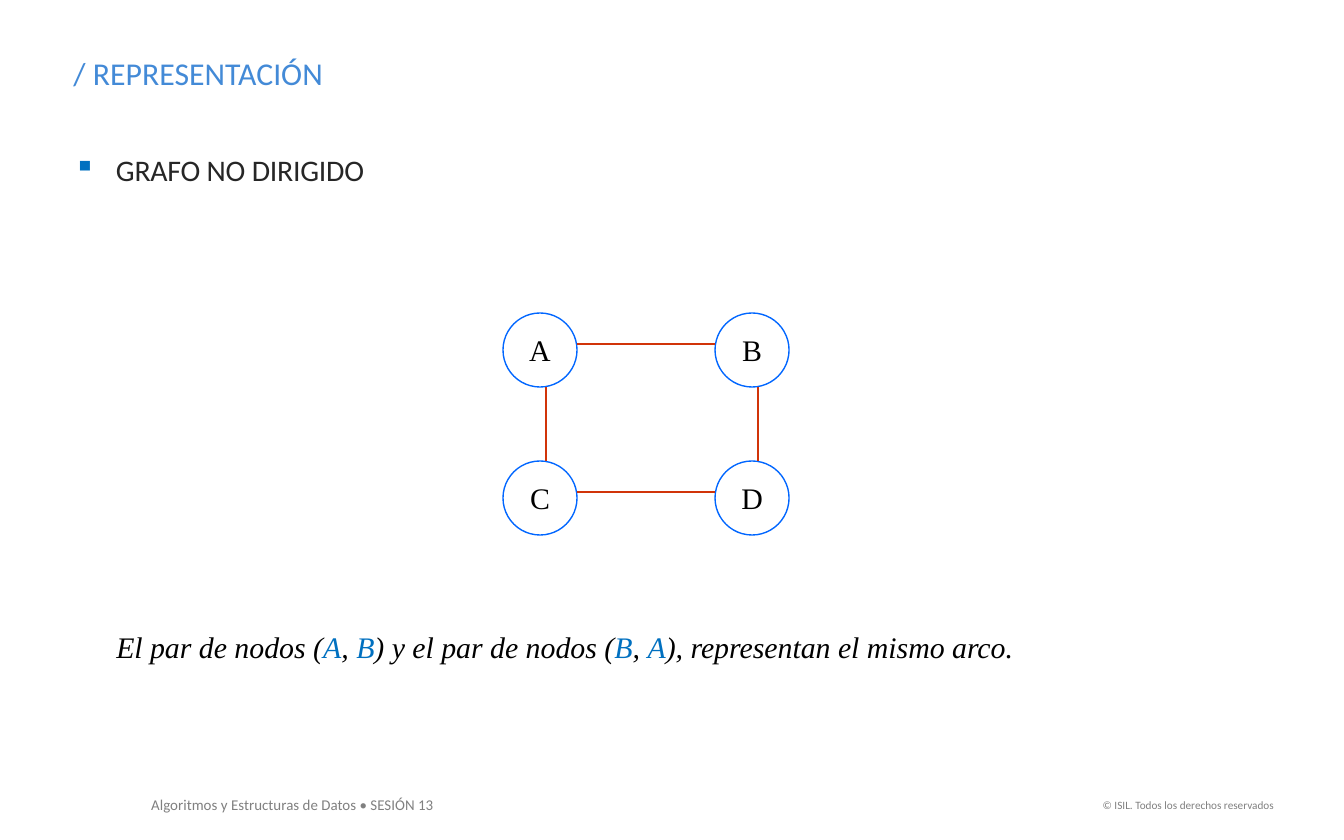
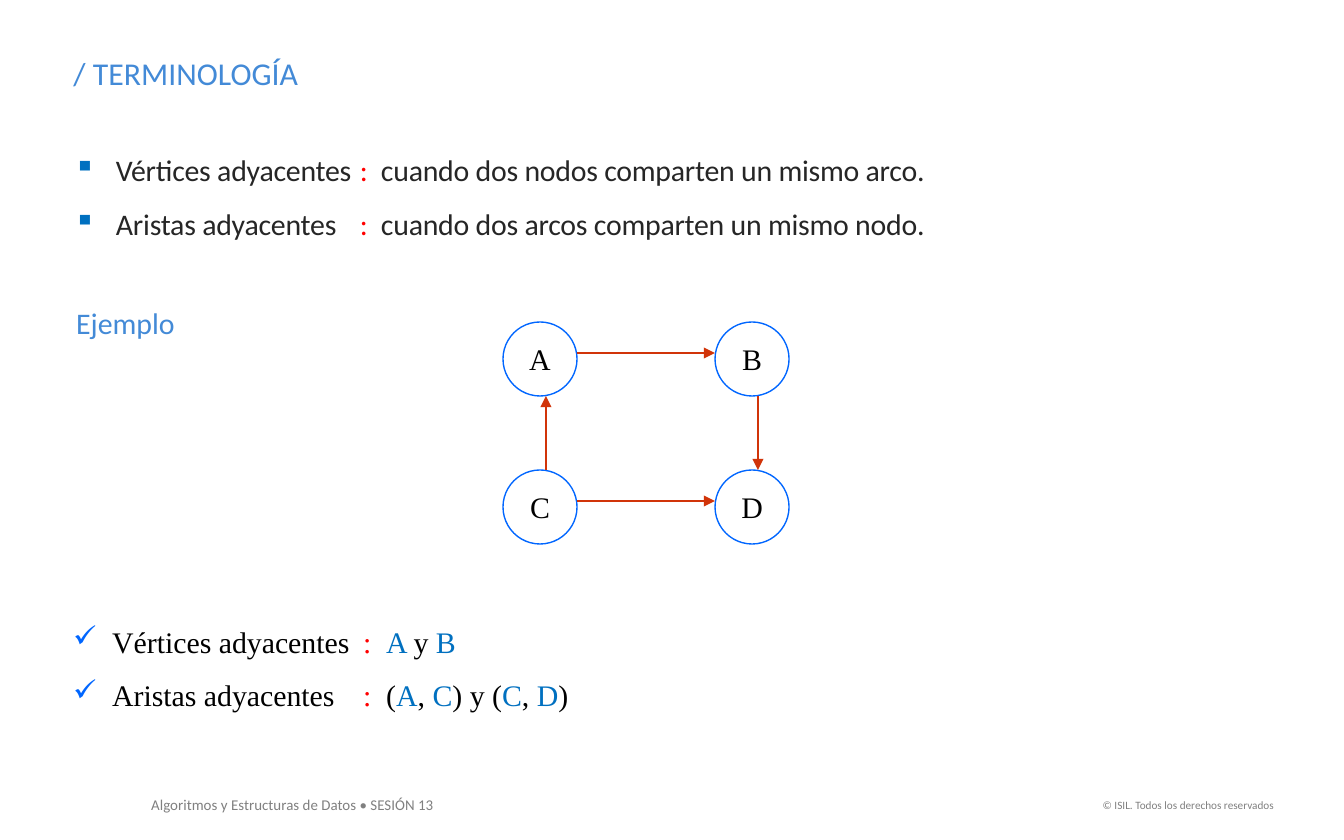
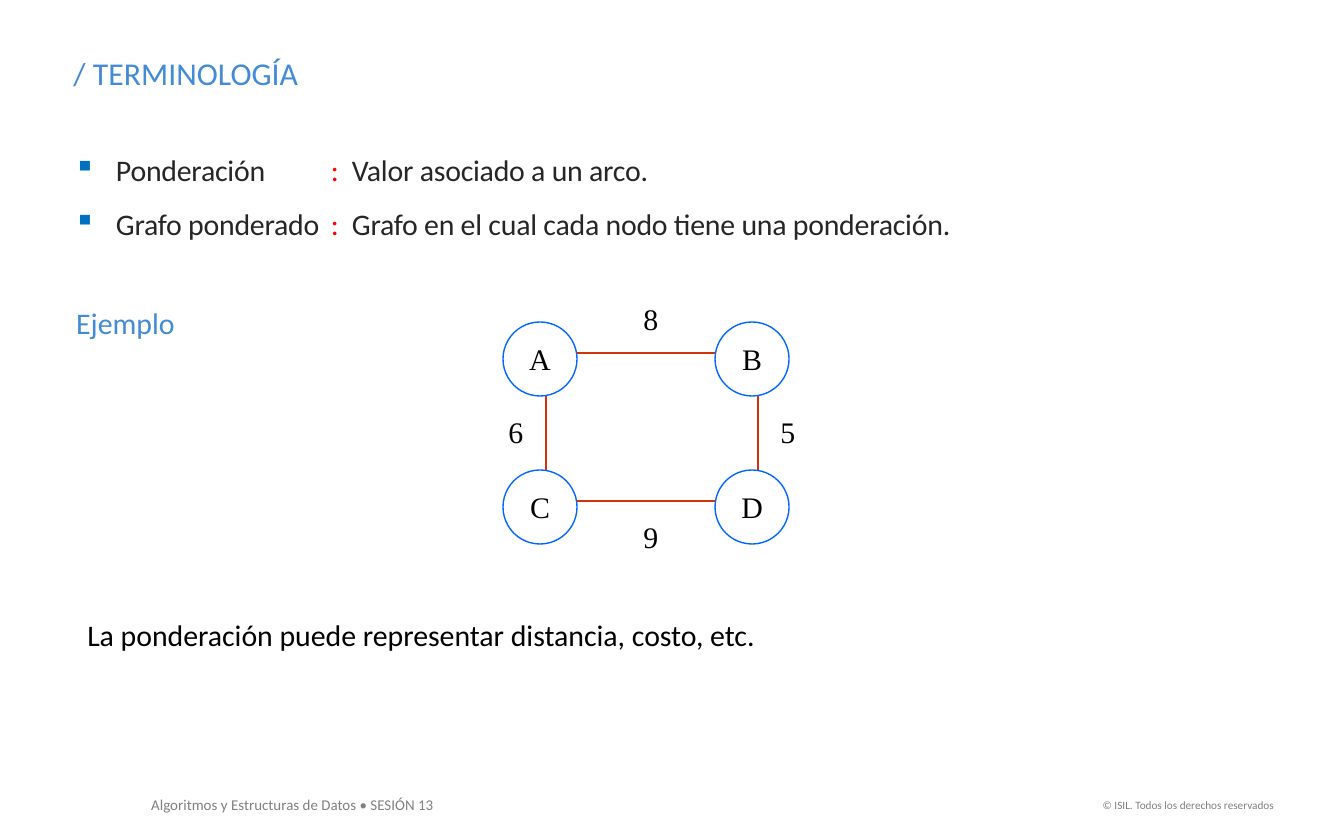
"""Build three slides on graph representation and terminology."""
from lxml import etree
from pptx import Presentation, util as u
from pptx.dml.color import RGBColor
from pptx.enum import shapes, text
from pptx.oxml.ns import qn

BLACK = RGBColor(0x00, 0x00, 0x00)
DARK = RGBColor(0x26, 0x26, 0x26)
GRAY = RGBColor(0x80, 0x80, 0x80)
SKY = RGBColor(0x43, 0x8A, 0xD7)
BLUE = RGBColor(0x00, 0x70, 0xC0)
NODE_BLUE = RGBColor(0x00, 0x66, 0xFF)
RED = RGBColor(0xFF, 0x00, 0x00)
EDGE_RED = RGBColor(0xD1, 0x34, 0x09)
SANS, SERIF = "Calibri", "Times New Roman"
LEFT, CENTER, RIGHT = text.PP_ALIGN.LEFT, text.PP_ALIGN.CENTER, text.PP_ALIGN.RIGHT

WIDTH, HEIGHT = 1344, 840
SCALE = u.Inches(10) / WIDTH
TITLE_BOX = (60, 47, 1059, 52)
DIAMETER, STEP_X, STEP_Y = 74, 212, 148
GRAPH_LEFT, PORT_X, PORT_Y = 503, 43, 31
GRID = {"A": (0, 0), "B": (1, 0), "C": (0, 1), "D": (1, 1)}

FOOTERS = [
    ((138, 789, 324, 32), "Algoritmos y Estructuras de Datos • SESIÓN 13", dict(size=8, align=LEFT)),
    ((1085, 792, 202, 27), "© ISIL. Todos los derechos reservados", dict(size=6, align=RIGHT)),
]
COLON = (":\t", RED)
SQUARE = dict(color=DARK, bullet=("▪", BLUE), indent=(43, 42), line=1.5, spc=-10, inset=False)
CHECK = dict(font=SERIF, bullet=("✓", NODE_BLUE), indent=(39, 39), line=1.5, tabs=(290, 313))
EXAMPLE = ((63, 298, 206, 50), "Ejemplo", dict(color=SKY))

SLIDES = [
    dict(
        title="/ REPRESENTACIÓN",
        graph_top=313,
        edges=["AB", "CD", "BD", "AC"],
        texts=[
            ((73, 134, 1081, 48), "GRAFO NO DIRIGIDO", SQUARE),
            ((103, 622, 1083, 50),
             [["El par de nodos (", ("A", BLUE), ", ", ("B", BLUE), ") y el par de nodos (",
               ("B", BLUE), ", ", ("A", BLUE), "), representan el mismo arco."]],
             dict(font=SERIF, italic=True)),
        ],
    ),
    dict(
        title="/ TERMINOLOGÍA",
        graph_top=322,
        edges=["AB", "CD", "BD", "CA"],
        directed=True,
        texts=[
            ((73, 134, 941, 109),
             [["Vértices adyacentes\t", COLON, "cuando dos nodos comparten un mismo arco."],
              ["Aristas adyacentes\t", COLON, "cuando dos arcos comparten un mismo nodo."]],
             dict(SQUARE, tabs=(287, 308))),
            ((60, 599, 586, 122),
             [["Vértices adyacentes\t", COLON, ("A ", BLUE), "y ", ("B", BLUE)],
              ["Aristas adyacentes\t", COLON, "(", ("A", BLUE), ", ", ("C", BLUE), ") y (",
               ("C", BLUE), ", ", ("D", BLUE), ")"]],
             CHECK),
            EXAMPLE,
        ],
    ),
    dict(
        title="/ TERMINOLOGÍA",
        graph_top=322,
        edges=["AB", "CD", "BD", "AC"],
        weights=[("8", 630, 294), ("9", 630, 512), ("5", 767, 407), ("6", 495, 407)],
        texts=[
            ((73, 134, 941, 109),
             [["Ponderación\t", COLON, "Valor asociado a un arco."],
              ["Grafo ponderado\t", COLON, "Grafo en el cual cada nodo tiene una ponderación."]],
             dict(SQUARE, tabs=(258, 279))),
            EXAMPLE,
            ((74, 610, 755, 50), "La ponderación puede representar distancia, costo, etc.", {}),
        ],
    ),
]


def px(n):
    return u.Emu(round(n * SCALE))


def add_bullet(p, bullet, indent):
    char, color = bullet
    margin, hang = indent
    pPr = p._p.get_or_add_pPr()
    pPr.set("marL", str(px(margin)))
    pPr.set("indent", str(-px(hang)))
    clr = etree.SubElement(pPr, qn("a:buClr"))
    etree.SubElement(clr, qn("a:srgbClr"), val=str(color))
    etree.SubElement(pPr, qn("a:buChar"), char=char)


def add_tabs(p, tabs):
    tab_list = etree.SubElement(p._p.get_or_add_pPr(), qn("a:tabLst"))
    for tab in tabs:
        etree.SubElement(tab_list, qn("a:tab"), pos=str(px(tab)), algn="l")


def write(tf, content, size=16, font=SANS, color=BLACK, italic=False, align=LEFT, line=None,
          bullet=None, indent=None, tabs=(), spc=None, inset=True, wrap=True,
          anchor=text.MSO_ANCHOR.TOP, fit=text.MSO_AUTO_SIZE.SHAPE_TO_FIT_TEXT):
    tf.word_wrap, tf.auto_size, tf.vertical_anchor = wrap, fit, anchor
    if not inset:
        tf.margin_left = tf.margin_right = tf.margin_top = tf.margin_bottom = 0
    paragraphs = [[content]] if isinstance(content, str) else content
    for i, runs in enumerate(paragraphs):
        p = tf.add_paragraph() if i else tf.paragraphs[0]
        p.alignment = align
        if bullet:
            add_bullet(p, bullet, indent)
        if tabs:
            add_tabs(p, tabs)
        if line:
            p.line_spacing = line
        for run in runs:
            words, run_color = (run, color) if isinstance(run, str) else run
            r = p.add_run()
            r.text = words
            r.font.name, r.font.size, r.font.italic = font, u.Pt(size), italic
            r.font.color.rgb = run_color
            if spc:
                r._r.get_or_add_rPr().set("spc", str(spc))


def add_text(s, box, content, **fmt):
    write(s.shapes.add_textbox(*map(px, box)).text_frame, content, **fmt)


def add_node(s, name, x, y):
    sp = s.shapes.add_shape(shapes.MSO_SHAPE.FLOWCHART_CONNECTOR, *map(px, (x, y, DIAMETER, DIAMETER)))
    sp.shadow.inherit = False
    sp.fill.background()
    sp.line.color.rgb, sp.line.width = NODE_BLUE, u.Pt(0.75)
    write(sp.text_frame, name, font=SERIF, align=CENTER, inset=False,
          anchor=text.MSO_ANCHOR.MIDDLE, fit=text.MSO_AUTO_SIZE.NONE)


def port(start, end):
    (x, y), (to_x, to_y) = start, end
    if y == to_y:
        return x + DIAMETER * (to_x > x), y + PORT_Y
    return x + PORT_X, y + DIAMETER * (to_y > y)


def add_edge(s, start, end, directed):
    points = port(start, end) + port(end, start)
    cxn = s.shapes.add_connector(shapes.MSO_CONNECTOR.STRAIGHT, *map(px, points))
    cxn.line.color.rgb, cxn.line.width = EDGE_RED, u.Pt(0.75)
    if directed:
        etree.SubElement(cxn.line._get_or_add_ln(), qn("a:tailEnd"), type="triangle")
    etree.SubElement(cxn._element.spPr, qn("a:effectLst"))


def add_graph(s, top, edges, directed=False, weights=()):
    places = {name: (GRAPH_LEFT + col * STEP_X, top + row * STEP_Y) for name, (col, row) in GRID.items()}
    for name, place in places.items():
        add_node(s, name, *place)
    for start, end in edges:
        add_edge(s, places[start], places[end], directed)
    for weight, x, y in weights:
        add_text(s, (x, y, 42, 50), weight, font=SERIF, align=CENTER, wrap=False)


def add_slide(prs, title, graph_top, edges, texts, **graph):
    s = prs.slides.add_slide(prs.slide_layouts[5])
    sp = s.shapes.title
    sp.left, sp.top, sp.width, sp.height = map(px, TITLE_BOX)
    write(sp.text_frame, title, size=17, color=SKY)
    for box, content, fmt in FOOTERS:
        add_text(s, box, content, color=GRAY, wrap=False, **fmt)
    for box, content, fmt in texts:
        add_text(s, box, content, **fmt)
    add_graph(s, graph_top, edges, **graph)


def main():
    prs = Presentation()
    prs.slide_width, prs.slide_height = px(WIDTH), px(HEIGHT)
    for slide in SLIDES:
        add_slide(prs, **slide)
    prs.save("out.pptx")


if __name__ == "__main__":
    main()
